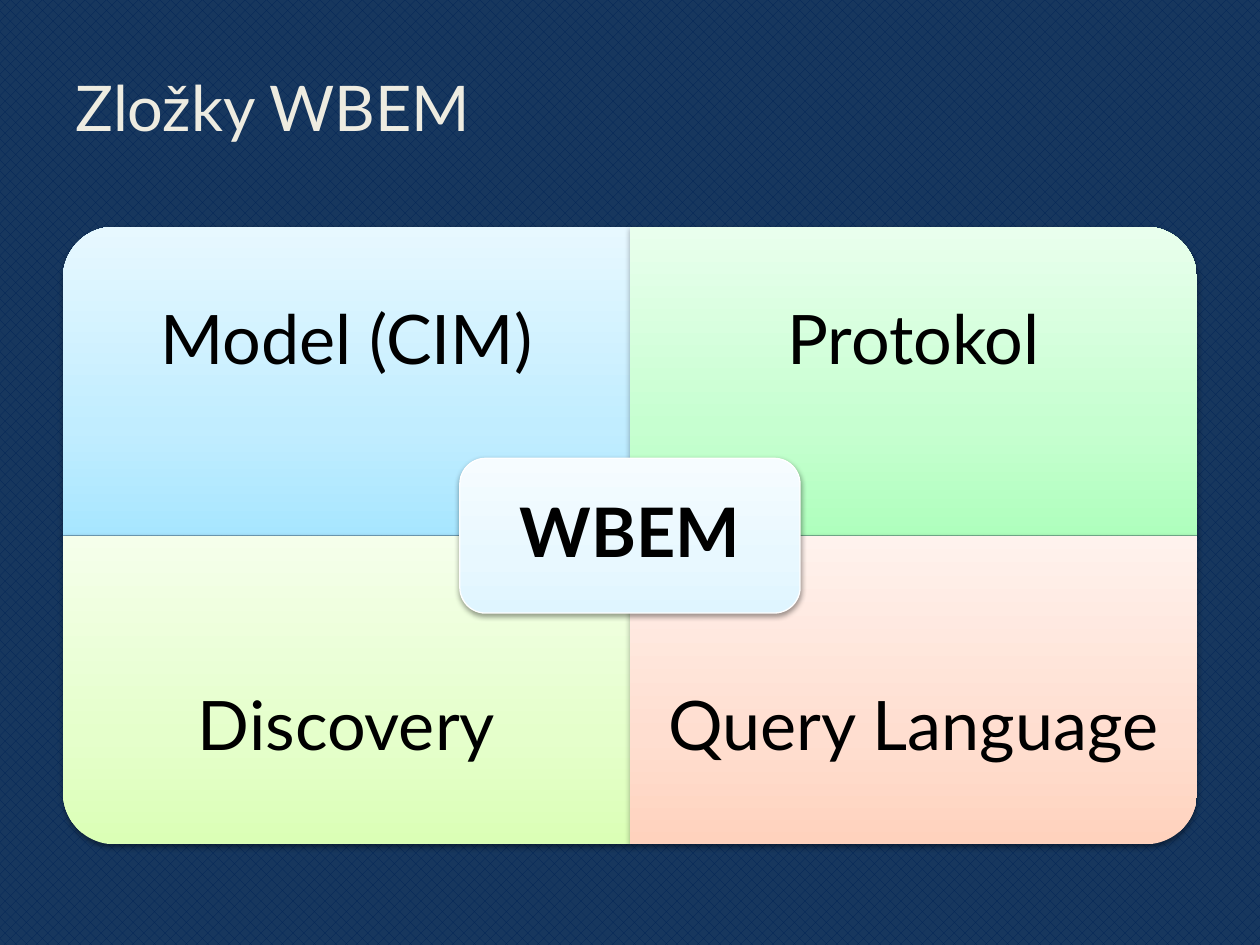
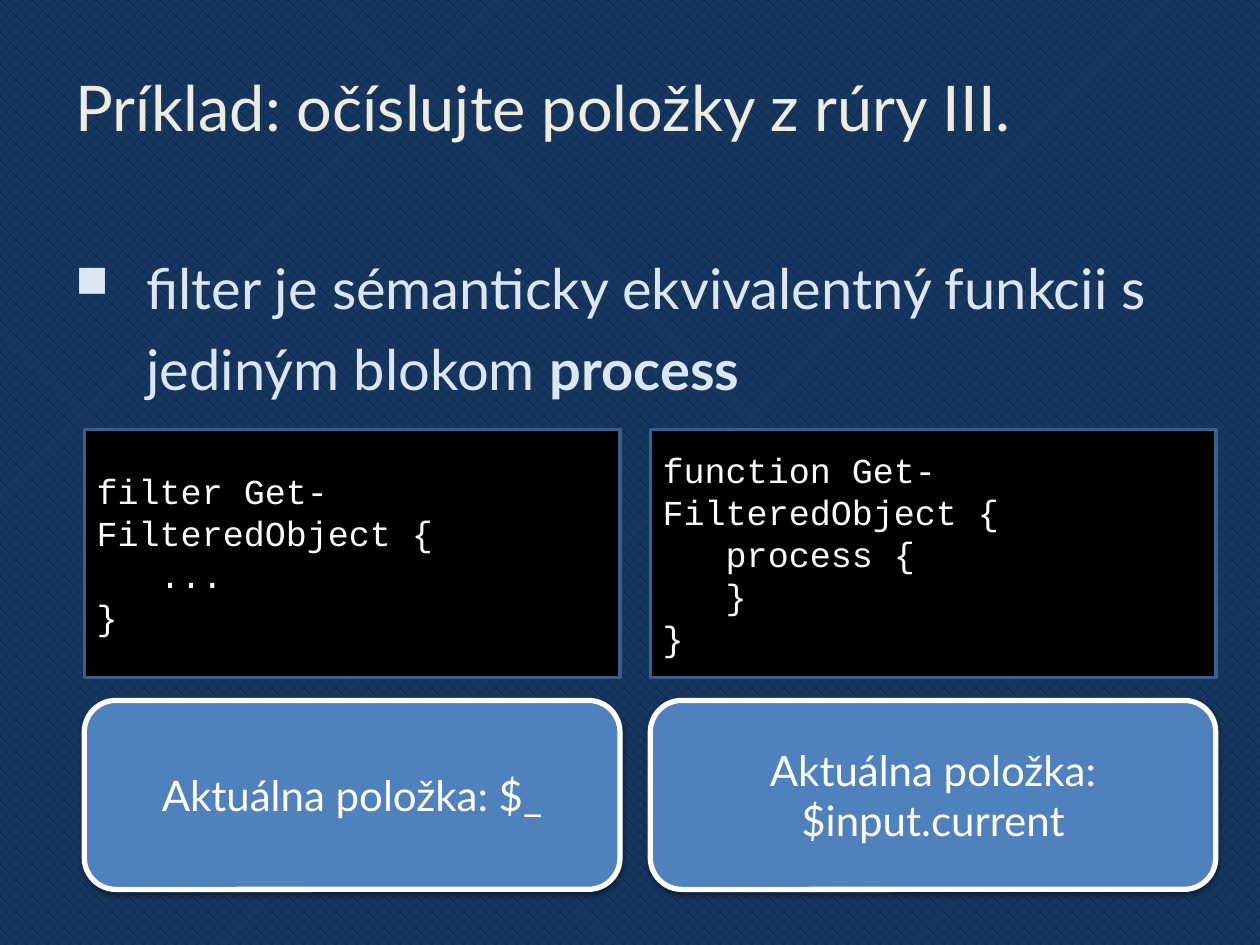
"""Build two slides: the parts of WBEM and a filter compared with a function."""
from dataclasses import dataclass
from typing import NamedTuple, Optional

from pptx import Presentation
from pptx.dml.color import RGBColor
from pptx.enum.dml import MSO_PATTERN
from pptx.enum.shapes import MSO_SHAPE as Preset
from pptx.enum.text import MSO_ANCHOR as Anchor, PP_ALIGN as Align
from pptx.oxml import parse_xml
from pptx.oxml.ns import nsdecls, qn
from pptx.shapes.autoshape import Shape
from pptx.slide import Slide
from pptx.util import Cm, Pt

NAVY = RGBColor(0x17, 0x37, 0x5E)
DARK_NAVY = RGBColor(0x01, 0x24, 0x56)
CREAM = RGBColor(0xEE, 0xEC, 0xE1)
PALE_BLUE = RGBColor(0xDC, 0xE6, 0xF2)
STEEL = RGBColor(0x3A, 0x5F, 0x8C)
BLUE = RGBColor(0x4F, 0x81, 0xBD)
BLACK = RGBColor(0, 0, 0)
WHITE = RGBColor(0xFF, 0xFF, 0xFF)
SKY = (RGBColor(0xA7, 0xE6, 0xFF), RGBColor(0xC1, 0xED, 0xFF), RGBColor(0xE7, 0xF8, 0xFF))
MINT = (RGBColor(0xAF, 0xFF, 0xBD), RGBColor(0xC6, 0xFF, 0xD0), RGBColor(0xE9, 0xFF, 0xED))
LIME = (RGBColor(0xDB, 0xFF, 0xB6), RGBColor(0xE5, 0xFF, 0xCB), RGBColor(0xF5, 0xFF, 0xEB))
PEACH = (RGBColor(0xFF, 0xD2, 0xBD), RGBColor(0xFF, 0xDE, 0xD0), RGBColor(0xFF, 0xF2, 0xED))
ICE = (RGBColor(0xDF, 0xF5, 0xFF), RGBColor(0xE8, 0xF8, 0xFF), RGBColor(0xF6, 0xFC, 0xFF))
GRADIENT_STOPS = (0, 35, 100)
WEAVE = MSO_PATTERN.from_xml("pct40")

SANS = "Lato"
MONO = "Courier New"
SIDES = ("left", "top", "right", "bottom")


class Box(NamedTuple):
    """A place on the slide in centimetres."""
    left: float
    top: float
    width: float
    height: float

    def lengths(self) -> tuple:
        """Give the four values as lengths."""
        return tuple(Cm(value) for value in self)


@dataclass(frozen=True)
class TextStyle:
    """The look of a block of text."""
    size: int
    color: RGBColor
    font: str = SANS
    bold: bool = False
    align: Align = Align.LEFT
    anchor: Anchor = Anchor.MIDDLE
    spacing: float = 1.0
    inset: Optional[float] = None


@dataclass(frozen=True)
class Quadrant:
    """One quarter of the WBEM matrix."""
    label: str
    column: int
    row: int
    rotation: int
    shades: tuple


@dataclass(frozen=True)
class Variant:
    """One way to write the filter, with its current item."""
    left: float
    width: float
    code: tuple
    current_item: str


TITLE_STYLE = TextStyle(36, CREAM)
QUADRANT_STYLE = TextStyle(39, BLACK, align=Align.CENTER, spacing=0.9, inset=0.7)
CORE_STYLE = TextStyle(39, BLACK, bold=True, align=Align.CENTER, spacing=0.9, inset=0.5)
BODY_STYLE = TextStyle(32, PALE_BLUE, anchor=Anchor.TOP, spacing=1.2)
CODE_STYLE = TextStyle(20, WHITE, MONO)
ITEM_STYLE = TextStyle(24, WHITE, align=Align.CENTER)

TITLE_BOX = Box(1.27, 0.76, 22.86, 2.77)
BODY_BOX = Box(1.27, 4.72, 22.86, 12.29)
MATRIX = Box(1.27, 4.57, 22.86, 12.45)
CORE_BOX = Box(9.27, 9.24, 6.86, 3.12)
BULLET_INDENT = 1.43
CODE_TOP, CODE_HEIGHT = 8.66, 5.0
ITEM_TOP, ITEM_HEIGHT = 14.12, 3.81

QUADRANTS = (
    Quadrant("Model (CIM)", 0, 0, 270, SKY),
    Quadrant("Protokol", 1, 0, 0, MINT),
    Quadrant("Discovery", 0, 1, 180, LIME),
    Quadrant("Query Language", 1, 1, 90, PEACH),
)
VARIANTS = (
    Variant(1.7, 10.8, ("filter Get-FilteredObject {", "   ...", "}"),
            "Aktuálna položka: $_"),
    Variant(13.11, 11.4, ("function Get-FilteredObject {", "   process {", "   }", "}"),
            "Aktuálna položka: $input.current"),
)


def write_run(paragraph, text: str, style: TextStyle, bold: bool) -> None:
    """Add one run of styled text."""
    run = paragraph.add_run()
    run.text = text
    for name, value in {"size": Pt(style.size), "name": style.font, "bold": bold}.items():
        setattr(run.font, name, value)
    run.font.color.rgb = style.color


def write(shape: Shape, lines: tuple, style: TextStyle) -> None:
    """Fill a shape with one paragraph for each line."""
    frame = shape.text_frame
    layout = {"word_wrap": True, "vertical_anchor": style.anchor}
    if style.inset is not None:
        layout.update({f"margin_{side}": Cm(style.inset) for side in SIDES})
    for name, value in layout.items():
        setattr(frame, name, value)
    for number, line in enumerate(lines):
        paragraph = frame.add_paragraph() if number else frame.paragraphs[0]
        for name, value in {"alignment": style.align, "line_spacing": style.spacing}.items():
            setattr(paragraph, name, value)
        write_run(paragraph, line, style, style.bold)


def add_text(slide: Slide, box: Box, text: str, style: TextStyle) -> Shape:
    """Add a text box with one paragraph."""
    text_box = slide.shapes.add_textbox(*box.lengths())
    write(text_box, (text,), style)
    return text_box


def add_panel(slide: Slide, preset: Preset, box: Box, line: Optional[RGBColor] = None,
              line_width: float = 0, fill: Optional[RGBColor] = None) -> Shape:
    """Add a preset shape without a shadow."""
    panel = slide.shapes.add_shape(preset, *box.lengths())
    panel.shadow.inherit = False
    if fill is not None:
        panel.fill.solid()
        panel.fill.fore_color.rgb = fill
    if line is None:
        panel.line.fill.background()
    else:
        panel.line.color.rgb = line
        panel.line.width = Pt(line_width)
    return panel


def shade(panel: Shape, shades: tuple) -> None:
    """Give a panel an upright gradient, darkest at the bottom."""
    panel.fill.gradient()
    stops = "".join(f'<a:gs pos="{stop * 1000}"><a:srgbClr val="{color}"/></a:gs>'
                    for stop, color in zip(GRADIENT_STOPS, shades))
    properties = panel._element.spPr
    properties.replace(properties.find(qn("a:gradFill")), parse_xml(
        f'<a:gradFill {nsdecls("a")} rotWithShape="0"><a:gsLst>{stops}</a:gsLst>'
        '<a:lin ang="16200000" scaled="0"/></a:gradFill>'))


def cast_shadow(panel: Shape) -> None:
    """Give a panel a soft shadow below."""
    panel._element.spPr.find(qn("a:effectLst")).append(parse_xml(
        f'<a:outerShdw {nsdecls("a")} blurRad="40000" dist="20000" dir="5400000" '
        f'rotWithShape="0"><a:srgbClr val="{BLACK}"><a:alpha val="38000"/></a:srgbClr>'
        '</a:outerShdw>'))


def add_bullet(paragraph, color: RGBColor) -> None:
    """Put a small square with a hanging indent before a paragraph."""
    properties = paragraph._p.get_or_add_pPr()
    properties.set("marL", str(Cm(BULLET_INDENT)))
    properties.set("indent", str(-Cm(BULLET_INDENT)))
    for element in (f'buClr {nsdecls("a")}><a:srgbClr val="{color}"/></a:buClr>',
                    f'buSzPct {nsdecls("a")} val="80000"/>',
                    f'buChar {nsdecls("a")} char="■"/>'):
        properties.append(parse_xml(f"<a:{element}"))


def add_titled_slide(deck, title: str) -> Slide:
    """Add a slide with the woven background and a title."""
    slide = deck.slides.add_slide(deck.slide_layouts[6])
    backdrop = slide.background.fill
    backdrop.patterned()
    backdrop.pattern = WEAVE
    backdrop.fore_color.rgb = DARK_NAVY
    backdrop.back_color.rgb = NAVY
    add_text(slide, TITLE_BOX, title, TITLE_STYLE)
    return slide


def add_quadrant(slide: Slide, quadrant: Quadrant) -> None:
    """Draw a quarter with its outer corner rounded."""
    width, height = MATRIX.width / 2, MATRIX.height / 2
    left = MATRIX.left + quadrant.column * width
    top = MATRIX.top + quadrant.row * height
    box = Box(left, top, width, height)
    if quadrant.rotation % 180:
        offset = (width - height) / 2
        box = Box(left + offset, top - offset, height, width)
    panel = add_panel(slide, Preset.ROUND_1_RECTANGLE, box)
    panel.rotation = quadrant.rotation
    shade(panel, quadrant.shades)
    cast_shadow(panel)
    label_box = Box(left, top + quadrant.row * height / 4, width, height * 3 / 4)
    add_text(slide, label_box, quadrant.label, QUADRANT_STYLE)


def build_components(deck) -> None:
    """Build the matrix of WBEM components."""
    slide = add_titled_slide(deck, "Zložky WBEM")
    for quadrant in QUADRANTS:
        add_quadrant(slide, quadrant)
    core = add_panel(slide, Preset.ROUNDED_RECTANGLE, CORE_BOX, WHITE, 0.75)
    shade(core, ICE)
    cast_shadow(core)
    write(core, ("WBEM",), CORE_STYLE)


def build_example(deck) -> None:
    """Build the comparison of a filter and a function."""
    slide = add_titled_slide(deck, "Príklad: očíslujte položky z rúry III.")
    statement = add_text(slide, BODY_BOX, "filter je sémanticky ekvivalentný funkcii s jediným blokom ",
                         BODY_STYLE).text_frame.paragraphs[0]
    add_bullet(statement, PALE_BLUE)
    write_run(statement, "process", BODY_STYLE, bold=True)
    for variant in VARIANTS:
        code_box = Box(variant.left, CODE_TOP, variant.width, CODE_HEIGHT)
        write(add_panel(slide, Preset.RECTANGLE, code_box, STEEL, 2, BLACK),
              variant.code, CODE_STYLE)
        item_box = Box(variant.left, ITEM_TOP, variant.width, ITEM_HEIGHT)
        item = add_panel(slide, Preset.ROUNDED_RECTANGLE, item_box, WHITE, 3, BLUE)
        cast_shadow(item)
        write(item, (variant.current_item,), ITEM_STYLE)


def main() -> None:
    """Build and save the presentation."""
    deck = Presentation()
    deck.slide_width, deck.slide_height = Cm(25.4), Cm(19.05)
    build_components(deck)
    build_example(deck)
    deck.save("out.pptx")


if __name__ == "__main__":
    main()
